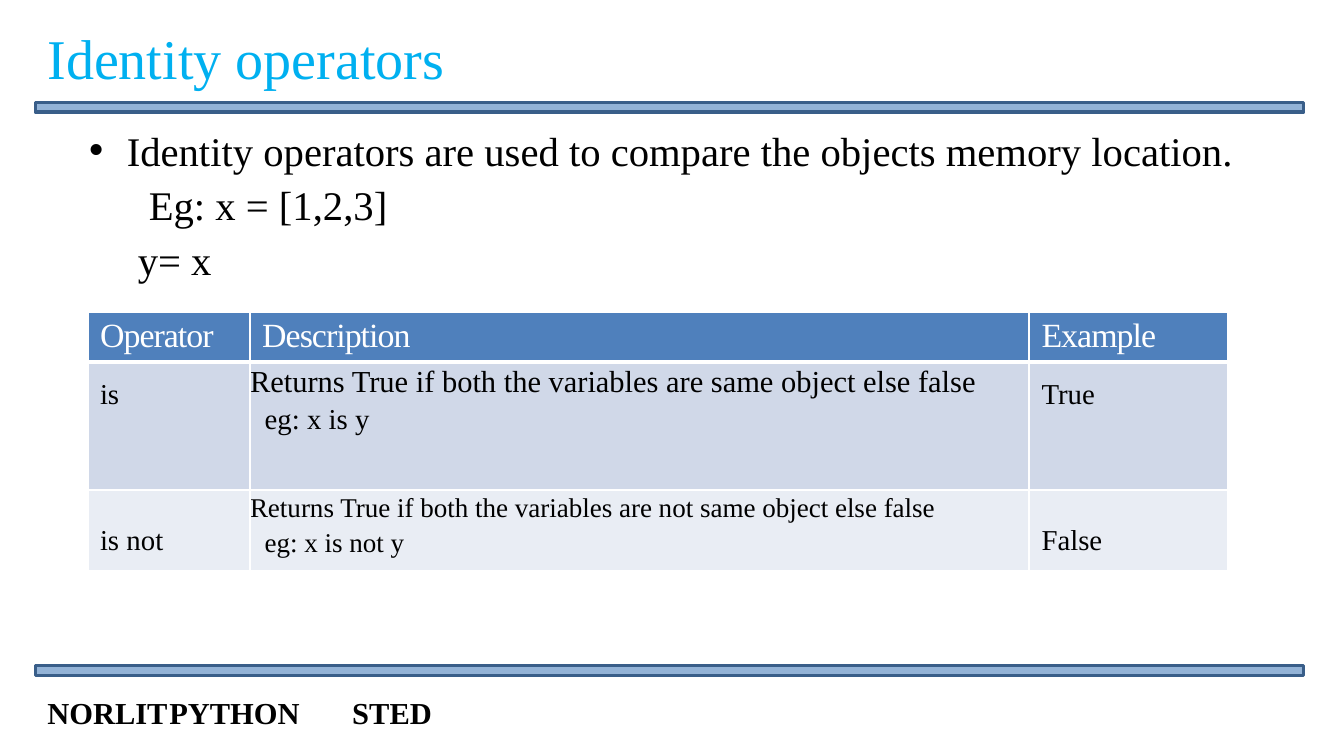
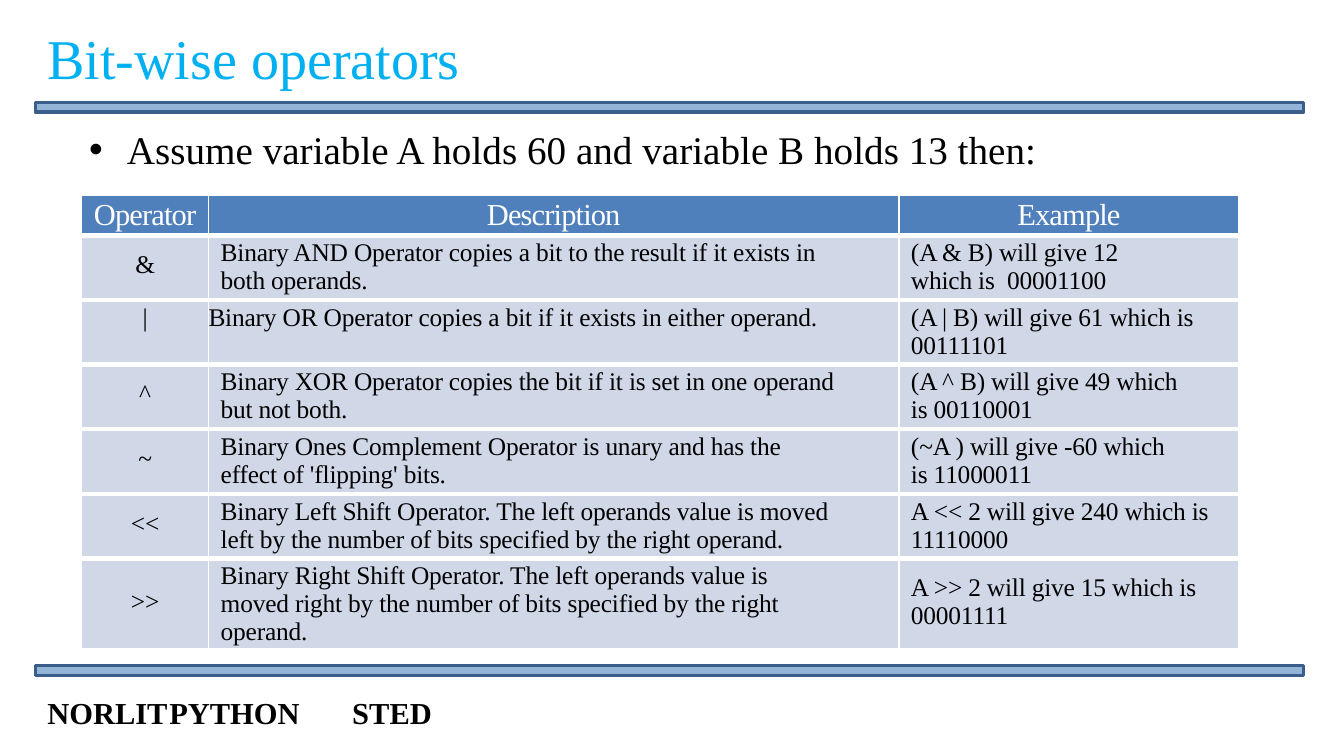
"""Build two slides on Python identity and bit-wise operators."""
from dataclasses import dataclass
from typing import Any

from lxml import etree
from pptx import Presentation
from pptx.dml.color import RGBColor
from pptx.enum.shapes import MSO_SHAPE
from pptx.enum.text import MSO_AUTO_SIZE, PP_ALIGN
from pptx.oxml.ns import qn
from pptx.util import Inches, Pt

RECT = MSO_SHAPE.RECTANGLE
FIXED = MSO_AUTO_SIZE.NONE
LEFT, CENTER = PP_ALIGN.LEFT, PP_ALIGN.CENTER

FONT = "Times New Roman"
BLACK, WHITE, CYAN = "000000", "FFFFFF", "00B0F0"
BAND, EDGE, HEAD = "93B3D7", "395E89", "4F80BC"
DARK, LIGHT = "D0D8E8", "E9EDF4"
SIDE, WIDE = 0.29, 10.4


@dataclass(frozen=True)
class Line:
    text: str
    size: float
    indent: float = 0
    color: str = BLACK
    bold: bool = False
    track: float = 0
    before: float = 0
    align: Any = LEFT
    bullet: bool = False
    tabs: tuple[tuple[float, str], ...] = ()


@dataclass(frozen=True)
class Cell:
    lines: tuple[Line, ...]
    top: float = 0.03
    left: float = 0.1


@dataclass(frozen=True)
class Grid:
    left: float
    top: float
    cols: tuple[float, ...]
    rows: tuple[float, ...]
    cells: list[list[Cell]]
    fills: tuple[str, ...]
    rule: float
    gap: float


@dataclass(frozen=True)
class Page:
    title: str
    body: list[Line]
    grid: Grid


def rgb(code: str) -> RGBColor:
    """Turn a hex string into a colour."""
    return RGBColor.from_string(code)


def write(frame: Any, lines: list[Line] | tuple[Line, ...]) -> None:
    """Fill a text frame, one paragraph a line."""
    for num, line in enumerate(lines):
        para = frame.add_paragraph() if num else frame.paragraphs[0]
        para.alignment = line.align
        para.space_before = Pt(line.before)
        props = para._p.get_or_add_pPr()
        props.set("marL", str(Inches(line.indent)))
        props.set("indent", str(Inches(-0.31 if line.bullet else 0)))
        if line.bullet:
            etree.SubElement(props, qn("a:buFont"), typeface="Arial")
            etree.SubElement(props, qn("a:buChar"), char="•")
        if line.tabs:
            stops = etree.SubElement(props, qn("a:tabLst"))
            for pos, kind in line.tabs:
                etree.SubElement(stops, qn("a:tab"), pos=str(Inches(pos)), algn=kind)
        for part, text in enumerate(line.text.split("\n")):
            if part:
                para.add_line_break()
            run = para.add_run()
            run.text = text
            font = run.font
            font.name, font.size, font.bold = FONT, Pt(line.size), line.bold
            font.color.rgb = rgb(line.color)
            run._r.get_or_add_rPr().set("spc", str(round(line.track * 100)))


def box(slide: Any, at: tuple[float, ...], lines: list[Line],
        inset: tuple[float, float] = (0.1, 0.05), wrap: bool = True) -> None:
    """Add a text box."""
    frame = slide.shapes.add_textbox(*map(Inches, at)).text_frame
    frame.word_wrap, frame.auto_size = wrap, FIXED
    frame.margin_left = frame.margin_right = Inches(inset[0])
    frame.margin_top = frame.margin_bottom = Inches(inset[1])
    write(frame, lines)


def band(slide: Any, top: float) -> None:
    """Add a rule across the slide."""
    bar = slide.shapes.add_shape(RECT, *map(Inches, (SIDE, top, WIDE, 0.08)))
    bar.shadow.inherit = False
    bar.fill.solid()
    bar.fill.fore_color.rgb = rgb(BAND)
    bar.line.color.rgb = rgb(EDGE)
    bar.line.width = Pt(2)


def border(cell: Any, widths: dict[str, float]) -> None:
    """Give a cell its white borders."""
    props = cell._tc.get_or_add_tcPr()
    for side, width in widths.items():
        edge = etree.SubElement(props, qn(f"a:ln{side}"), w=str(Pt(width)))
        fill = etree.SubElement(edge, qn("a:solidFill"))
        etree.SubElement(fill, qn("a:srgbClr"), val=WHITE)


def table(slide: Any, grid: Grid) -> None:
    """Draw a grid as a table."""
    size = sum(grid.cols), sum(grid.rows)
    frame = slide.shapes.add_table(len(grid.rows), len(grid.cols),
                                   *map(Inches, (grid.left, grid.top, *size)))
    tab = frame.table
    tab.first_row = tab.horz_banding = False
    for col, width in zip(tab.columns, grid.cols):
        col.width = Inches(width)
    for row, high in zip(tab.rows, grid.rows):
        row.height = Inches(high)
    for r, row in enumerate(grid.cells):
        above = (1.5, 3)[r] if r < 2 else grid.rule
        below = grid.rule if r else 3
        for c, item in enumerate(row):
            cell = tab.cell(r, c)
            border(cell, {"L": grid.gap, "R": grid.gap, "T": above, "B": below})
            cell.fill.solid()
            cell.fill.fore_color.rgb = rgb(grid.fills[r])
            cell.margin_left, cell.margin_top = Inches(item.left), Inches(item.top)
            cell.margin_right = cell.margin_bottom = 0
            write(cell.text_frame, item.lines)


def header(size: float, track: float, align: Any, top: float) -> list[Cell]:
    """Make the heading cells."""
    left = 0.1 if align == LEFT else 0
    return [Cell((Line(name, size, color=WHITE, track=track, align=align),), top, left)
            for name in ("Operator", "Description", "Example")]


def match(sign: str, text: str, case: str, value: str,
          sizes: tuple[float, float], top: float) -> list[Cell]:
    """Make a row of the identity table."""
    lines = (Line(text, sizes[0]), Line(case, sizes[1], 0.12, before=2.6))
    return [Cell((Line(sign, 17),), top), Cell(lines, left=0), Cell((Line(value, 17),), top)]


def bits(sign: str, text: str, case: str, tops: tuple[float, float] = (0.13, 0.03),
         left: float = 0.1) -> list[Cell]:
    """Make a row of the bit-wise table."""
    return [Cell((Line(sign, 15, align=CENTER),), tops[0], 0),
            Cell((Line(text, 15, track=-0.1),), left=left),
            Cell((Line(case, 15, track=-0.1),), tops[1])]


def draw(deck: Any, page: Page) -> None:
    """Draw one slide with its shared frame."""
    slide = deck.slides.add_slide(deck.slide_layouts[6])
    for top in (5.46, 0.84):
        band(slide, top)
    box(slide, (SIDE, 0.14, 3.6, 0.66), [Line(page.title, 33.1, color=CYAN)], wrap=False)
    box(slide, (0.72, 1.02, 9.53, 0.43 * len(page.body)), page.body, (0, 0.01))
    table(slide, page.grid)
    foot = Line("NORLIT\tPYTHON\tSTED", 18, bold=True, tabs=((4.96, "ctr"), (10.02, "r")))
    box(slide, (SIDE, 5.64, WIDE, 0.38), [foot])


SAME = Grid(0.72, 2.56, (1.33, 6.39, 1.63), (0.41, 1.05, 0.66), [
    header(20, -0.6, LEFT, 0.04),
    match("is", "Returns True if both the variables are same object else false",
          "eg: x is y", "True", (18, 17), 0.14),
    match("is not", "Returns True if both the variables are not same object else false",
          "eg: x is not y", "False", (16, 16), 0.28),
], (HEAD, DARK, LIGHT), 1, 1.5)

WISE = Grid(0.67, 1.6, (1.04, 5.66, 2.79), (0.33, *[0.53] * 5, 0.75), [
    header(18, -0.5, CENTER, 0.03),
    bits("&", "Binary AND Operator copies a bit to the result if it exists in\nboth operands.",
         "(A & B) will give 12\nwhich is  00001100"),
    bits("|", "Binary OR Operator copies a bit if it exists in either operand.",
         "(A | B) will give 61 which is\n00111101", (0.03, 0.03), 0),
    bits("^", "Binary XOR Operator copies the bit if it is set in one operand\nbut not both.",
         "(A ^ B) will give 49 which\nis 00110001"),
    bits("~", "Binary Ones Complement Operator is unary and has the\neffect of 'flipping' bits.",
         "(~A ) will give -60 which\nis 11000011"),
    bits("<<", "Binary Left Shift Operator. The left operands value is moved\n"
         "left by the number of bits specified by the right operand.",
         "A << 2 will give 240 which is\n11110000"),
    bits(">>", "Binary Right Shift Operator. The left operands value is\n"
         "moved right by the number of bits specified by the right\noperand.",
         "A >> 2 will give 15 which is\n00001111", (0.24, 0.13)),
], (HEAD, *[DARK] * 6), 3, 1)

PAGES = [
    Page("Identity operators", [
        Line("Identity operators are used to compare the objects memory location.", 24, 0.32,
             before=0.8, bullet=True),
        Line("Eg: x = [1,2,3]", 24, 0.5, before=3.4),
        Line("y= x", 24, 0.41, before=3.4),
    ], SAME),
    Page("Bit-wise operators", [
        Line("Assume variable A holds 60 and variable B holds 13 then:", 23.1, 0.32,
             before=0.8, bullet=True),
    ], WISE),
]


def main() -> None:
    """Build and save the deck."""
    deck = Presentation()
    deck.slide_width, deck.slide_height = Inches(11.02), Inches(6.2)
    for page in PAGES:
        draw(deck, page)
    deck.save("out.pptx")


main()
